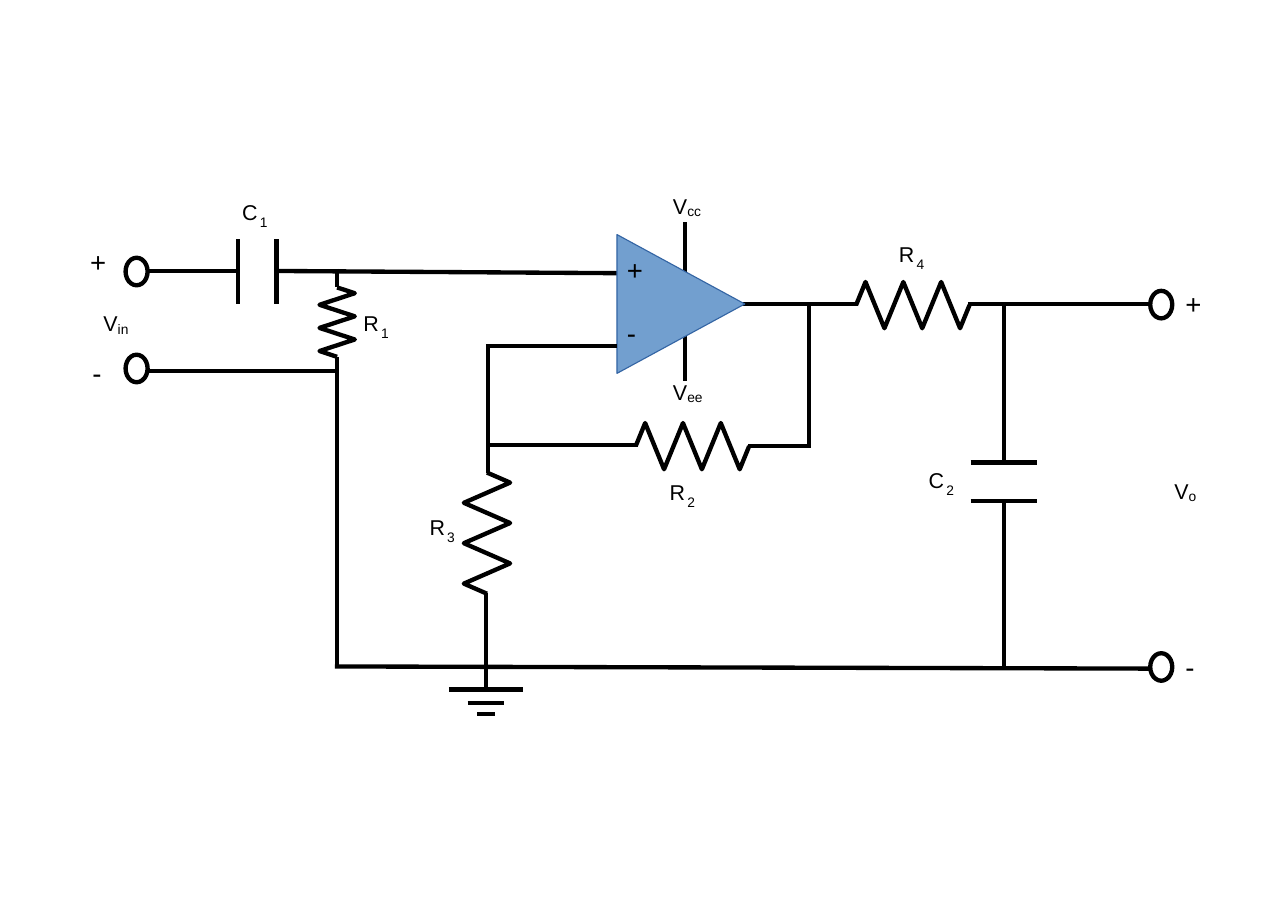
from dataclasses import dataclass
from lxml.etree import SubElement
from pptx import Presentation
from pptx.dml.color import RGBColor
from pptx.enum.shapes import MSO_CONNECTOR, MSO_SHAPE
from pptx.enum.text import MSO_AUTO_SIZE
from pptx.oxml.ns import qn
from pptx.util import Inches, Pt

HUES = {"ink": "000000", "body": "729FCF", "edge": "3465A4"}
CELL = Inches(0.1)
BASE = {"name": "Arial", "size": Pt(14)}
SUB = {"name": "Arial", "size": Pt(9)}
SIGN = {"name": "Arial", "size": Pt(18)}


def hue(key):
    return RGBColor.from_string(HUES[key])


def stroke(line, key="ink", width=2.83):
    line.color.rgb = hue(key)
    line.width = Pt(width)


@dataclass
class Box:
    """A region of the slide whose parts are placed in grid cells from its corner."""
    shapes: object
    col: float = 0
    row: float = 0

    def spot(self, x, y):
        return round((self.col + x) * CELL), round((self.row + y) * CELL)

    def wire(self, x1, y1, x2, y2):
        link = self.shapes.add_connector(
            MSO_CONNECTOR.STRAIGHT, *self.spot(x1, y1), *self.spot(x2, y2))
        stroke(link.line)
        SubElement(link._element.spPr, qn("a:effectLst"))

    def shape(self, kind, x, y, w, h):
        item = self.shapes.add_shape(
            kind, *self.spot(x, y), round(w * CELL), round(h * CELL))
        item.shadow.inherit = False
        return item

    def text(self, x, y, w, h, words, style):
        item = self.shapes.add_textbox(
            *self.spot(x, y), round(w * CELL), round(h * CELL))
        frame = item.text_frame
        frame.word_wrap = True
        frame.auto_size = MSO_AUTO_SIZE.SHAPE_TO_FIT_TEXT
        run = frame.paragraphs[0].add_run()
        run.text = words
        for key, value in style.items():
            setattr(run.font, key, value)
        run.font.color.rgb = hue("ink")

    def label(self, x, y, name, sub):
        dx, dy = (1.3, 0.9) if name == "V" else (1.6, 1.3)
        self.text(x, y, 3.5, 3.2, name, BASE)
        self.text(x + dx, y + dy, 4.5, 2.7, sub, SUB)

    def sign(self, x, y, mark):
        self.text(x, y, 3.9, 3.9, mark, SIGN)

    def port(self, x, y):
        ring = self.shape(MSO_SHAPE.OVAL, x, y, 2, 2.5)
        ring.fill.background()
        stroke(ring.line)

    def coil(self, x, y, span, swing, down=False):
        """Resistor zigzag running right, or down, from its first end."""
        steps = [0, 0.5, 1.5, 2.5, 3.5, 4.5, 5.5, 6]
        sides = [0, -1, 1, -1, 1, -1, 1, 0]
        dots = []
        for step, side in zip(steps, sides):
            along, off = span * step / 6, swing * side
            dots.append(self.spot(x - off, y + along) if down
                        else self.spot(x + along, y + off))
        pen = self.shapes.build_freeform(*dots[0])
        pen.add_line_segments(dots[1:], close=False)
        zigzag = pen.convert_to_shape()
        zigzag.shadow.inherit = False
        zigzag.fill.background()
        stroke(zigzag.line)


def source(box):
    for y, wire, end in ((6.4, 7.6, 14.6), (15.2, 16.7, 23.6)):
        box.port(4.4, y)
        box.wire(6.4, wire, end, wire)
    for x in (14.6, 18.1):
        box.wire(x, 4.7, x, 10.6)
    box.wire(18.1, 7.6, 49.1, 7.8)
    box.wire(23.6, 7.4, 23.6, 9.1)
    box.coil(23.6, 9.1, 6.3, 1.6, down=True)
    box.wire(23.6, 15.4, 23.6, 43.6)
    box.label(14, 0.6, "C", "1")
    box.label(25, 10.7, "R", "1")
    box.label(1.4, 10.7, "V", "in")
    box.sign(0.2, 4.7, "+")
    box.sign(0.4, 14.8, "-")


def ground(box, x, y):
    for drop, half in ((0, 3.35), (1.2, 1.65), (2.2, 0.8)):
        box.wire(x - half, y + drop, x + half, y + drop)


def amp(box):
    for top in (3.2, 12.4):
        box.wire(24.2, top, 24.2, top + 5.2)
    box.wire(27, 10.6, 39.9, 10.6)
    body = box.shape(MSO_SHAPE.ISOSCELES_TRIANGLE, 17.5, 4.8, 12.6, 11.6)
    body.rotation = 90
    body.fill.solid()
    body.fill.fore_color.rgb = hue("body")
    stroke(body.line, "edge", 0)
    box.sign(17.9, 5.5, "+")
    box.sign(17.9, 11.2, "-")
    box.label(22.1, 0, "V", "cc")
    box.label(22.1, 16.9, "V", "ee")

    box.wire(6.1, 14.4, 18, 14.4)
    box.wire(6.3, 14.4, 6.3, 25.9)
    box.wire(6.3, 23.4, 19.8, 23.4)
    box.coil(19.7, 23.5, 10.3, 2.1)
    box.wire(29.9, 23.5, 35.6, 23.5)
    box.wire(35.4, 10.6, 35.4, 23.5)
    box.label(21.8, 26, "R", "2")

    box.coil(6.2, 25.9, 11, 2.1, down=True)
    box.wire(6.1, 36.8, 6.1, 45.6)
    ground(box, 6.1, 45.6)
    box.label(0, 29.2, "R", "3")


def load(box):
    box.coil(0.7, 6.7, 10.3, 2.1)
    box.wire(10.9, 6.6, 27.4, 6.6)
    box.wire(14.1, 6.6, 14.1, 21)
    for y in (21, 24.5):
        box.wire(11.1, y, 17.1, y)
    box.wire(14.1, 24.5, 14.1, 39.6)
    box.label(3.6, 0.4, "R", "4")
    box.label(6.3, 20.9, "C", "2")
    box.label(28.6, 21.9, "V", "o")
    for y, mark in ((5.4, "+"), (38.3, "-")):
        box.port(27.4, y)
        box.sign(29.6, y - 0.8, mark)


def main():
    deck = Presentation()
    deck.slide_width, deck.slide_height = Inches(11.69), Inches(8.27)
    shapes = deck.slides.add_slide(deck.slide_layouts[6]).shapes
    source(Box(shapes, 7, 17))
    amp(Box(shapes, 38, 17))
    load(Box(shapes, 77, 21))
    Box(shapes).wire(30.4, 60.5, 104.4, 60.7)
    deck.save("out.pptx")


if __name__ == "__main__":
    main()
